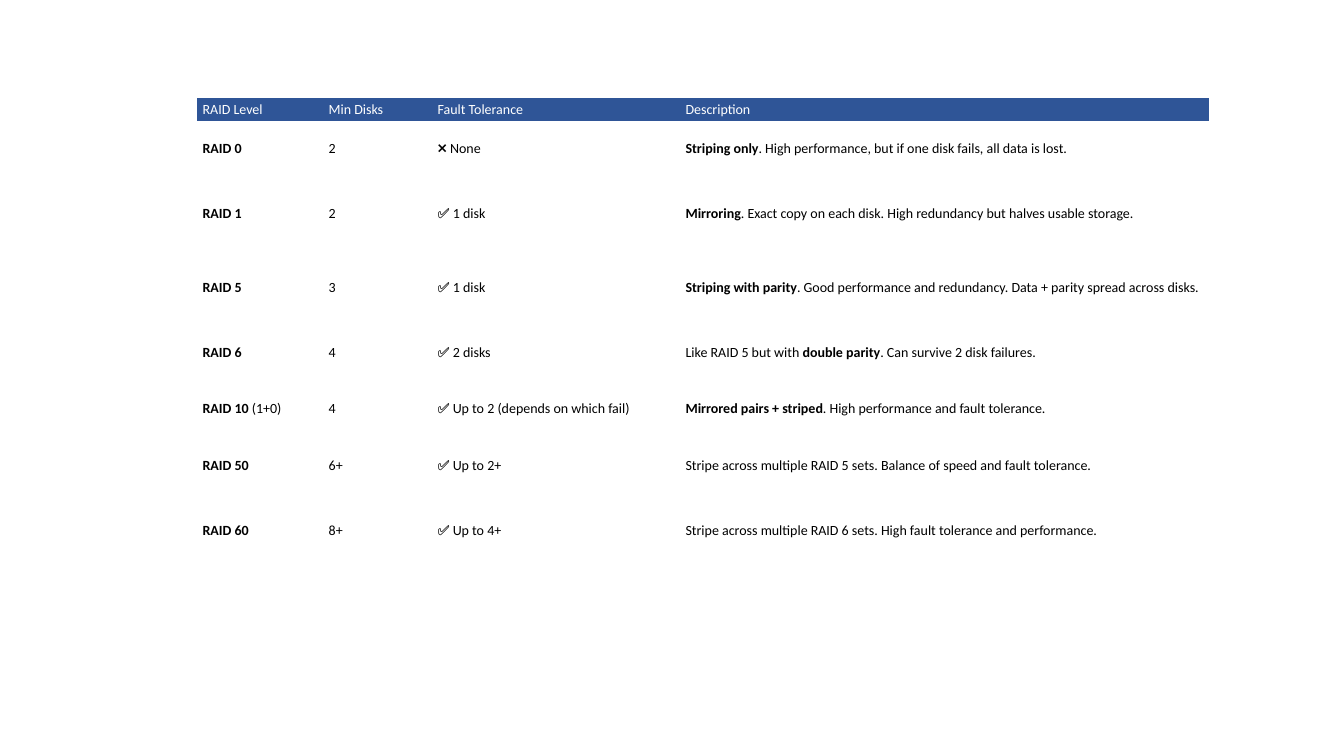
from pptx import Presentation
from pptx import util as u
from pptx.dml.color import RGBColor
from pptx.enum import text

NO_STYLE_NO_GRID = "{2D5ABB26-0587-4C30-8999-92F81FD0307C}"
HEADER_FILL = "2F5597"
COLUMN_WIDTHS = [1.25, 1.08, 2.46, 5.25]
ROW_HEIGHTS = [0.2, 0.56, 0.73, 0.73, 0.56, 0.56, 0.56, 0.73]

# Text between double asterisks is bold.
RAID_LEVELS = [
    ["RAID Level", "Min Disks", "Fault Tolerance", "Description"],
    ["**RAID 0**", "2", "❌ None",
     "**Striping only**. High performance, but if one disk fails, all data is lost."],
    ["**RAID 1**", "2", "✅ 1 disk",
     "**Mirroring**. Exact copy on each disk. High redundancy but halves usable storage."],
    ["**RAID 5**", "3", "✅ 1 disk",
     "**Striping with parity**. Good performance and redundancy. Data + parity spread across disks."],
    ["**RAID 6**", "4", "✅ 2 disks",
     "Like RAID 5 but with **double parity**. Can survive 2 disk failures."],
    ["**RAID 10** (1+0)", "4", "✅ Up to 2 (depends on which fail)",
     "**Mirrored pairs + striped**. High performance and fault tolerance."],
    ["**RAID 50**", "6+", "✅ Up to 2+",
     "Stripe across multiple RAID 5 sets. Balance of speed and fault tolerance."],
    ["**RAID 60**", "8+", "✅ Up to 4+",
     "Stripe across multiple RAID 6 sets. High fault tolerance and performance."],
]


def color(value):
    return RGBColor.from_string(value)


def fill_cell(cell, content, is_header):
    cell.vertical_anchor = text.MSO_ANCHOR.MIDDLE
    cell.margin_left = cell.margin_right = u.Inches(0.06)
    cell.margin_top = cell.margin_bottom = u.Inches(0.03)
    if is_header:
        cell.fill.solid()
        cell.fill.fore_color.rgb = color(HEADER_FILL)
    else:
        cell.fill.background()
    para = cell.text_frame.paragraphs[0]
    para.font.name = "Calibri"
    para.font.size = u.Pt(10)
    para.font.color.rgb = color("FFFFFF" if is_header else "000000")
    for index, part in enumerate(content.split("**")):
        if part:
            span = para.add_run()
            span.text = part
            span.font.bold = index % 2 == 1


def add_raid_table(page, left, top):
    frame = page.shapes.add_table(
        len(ROW_HEIGHTS), len(COLUMN_WIDTHS), u.Inches(left), u.Inches(top),
        u.Inches(sum(COLUMN_WIDTHS)), u.Inches(sum(ROW_HEIGHTS)))
    frame.element.xpath(".//a:tableStyleId")[0].text = NO_STYLE_NO_GRID
    table = frame.table
    table.horz_banding = False
    for column, width in zip(table.columns, COLUMN_WIDTHS):
        column.width = u.Inches(width)
    for row, height in zip(table.rows, ROW_HEIGHTS):
        row.height = u.Inches(height)
    for row_index, contents in enumerate(RAID_LEVELS):
        for column_index, content in enumerate(contents):
            fill_cell(table.cell(row_index, column_index), content, row_index == 0)


def main():
    deck = Presentation()
    deck.slide_width = u.Inches(13.33)
    deck.slide_height = u.Inches(7.5)
    page = deck.slides.add_slide(deck.slide_layouts[6])
    add_raid_table(page, 1.95, 0.97)
    deck.save("out.pptx")


if __name__ == "__main__":
    main()
